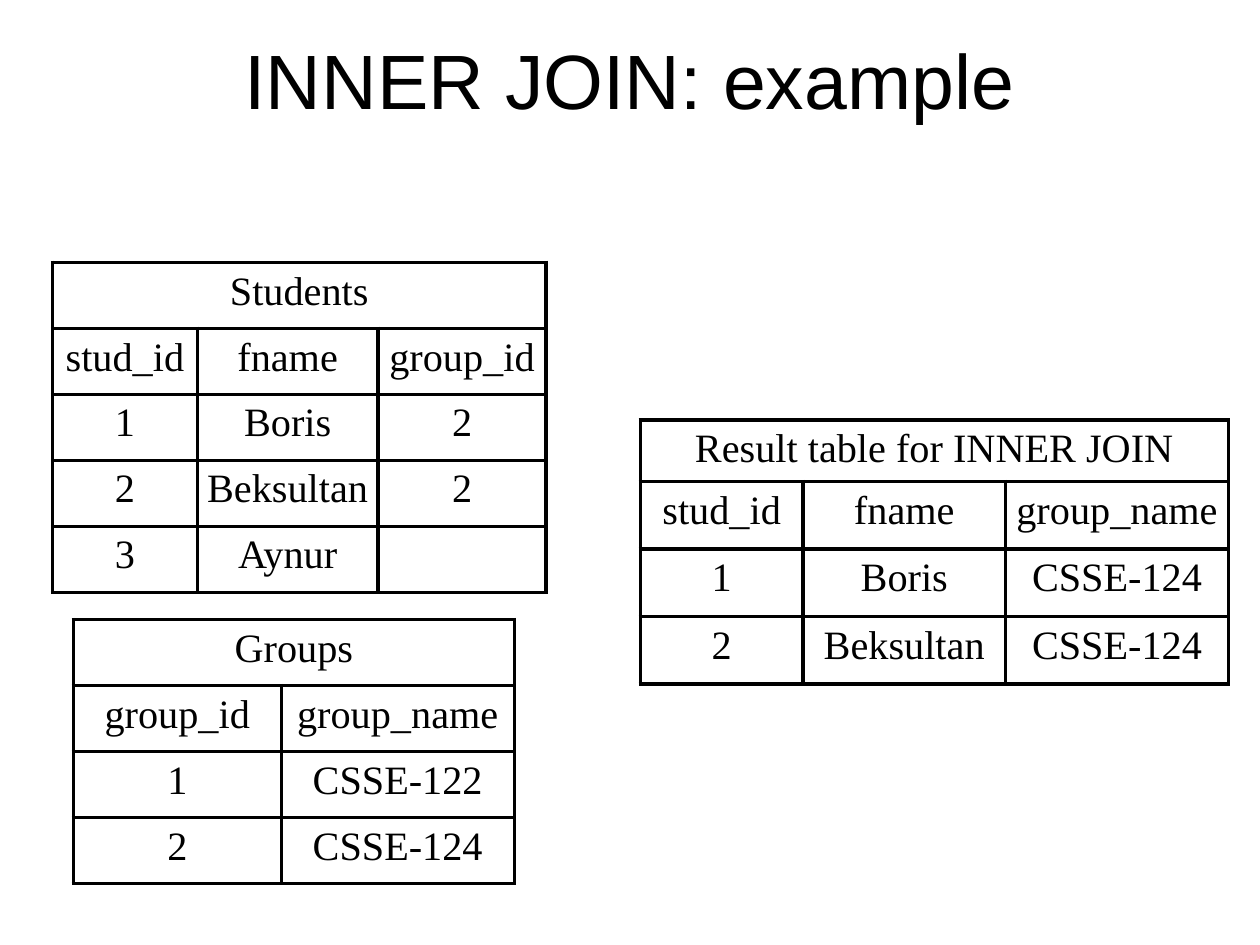
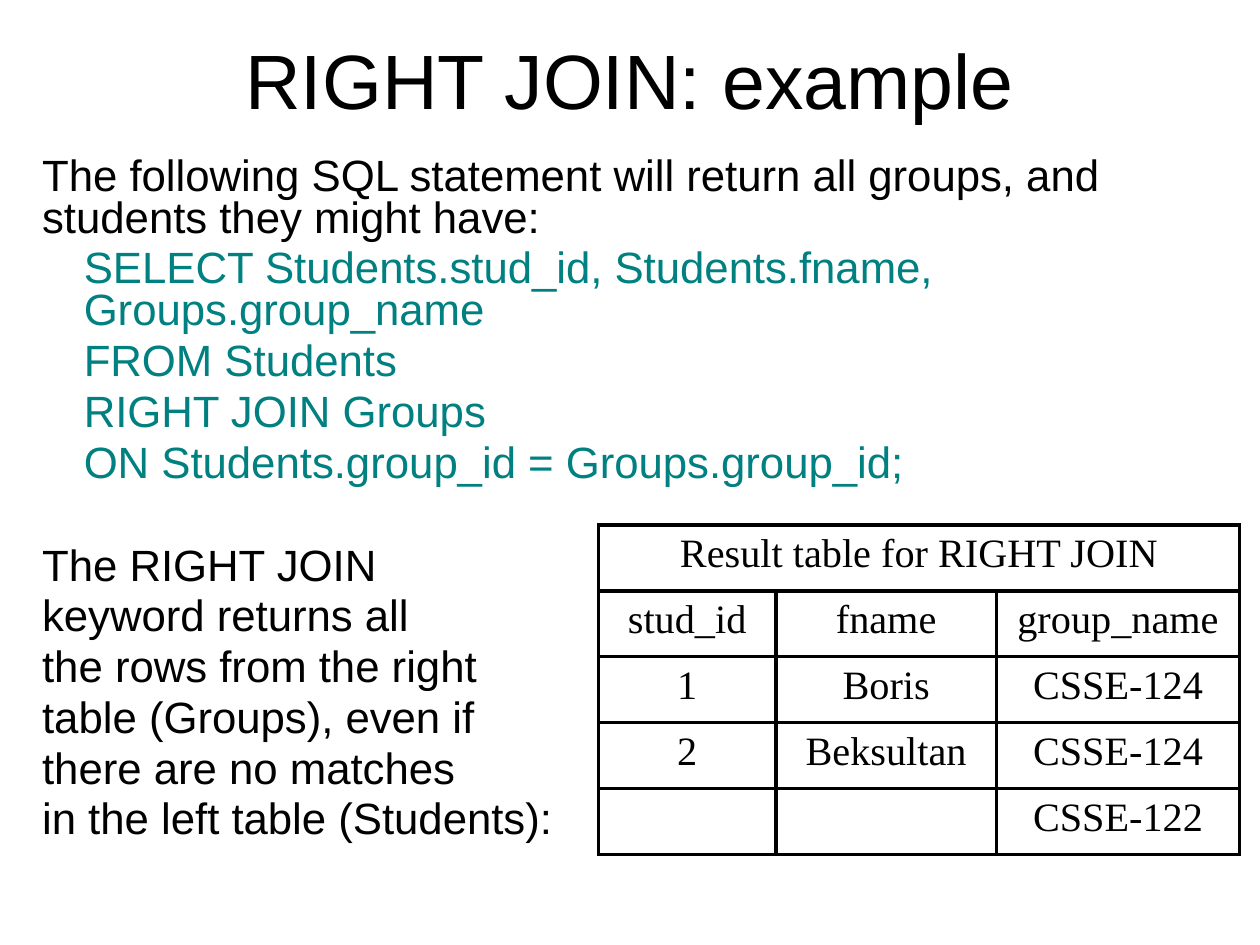
"""Build two slides that show INNER JOIN and RIGHT JOIN by example."""
from dataclasses import dataclass

from lxml.etree import SubElement
from pptx import Presentation
from pptx.dml.color import RGBColor
from pptx.enum.text import MSO_ANCHOR as Anchor, PP_ALIGN as Align
from pptx.oxml.ns import qn
from pptx.util import Cm, Pt


@dataclass(frozen=True)
class Theme:
    ink: str = "000000"
    code: str = "008080"
    sans: str = "Arial"
    serif: str = "Times New Roman"
    title_size: float = 44
    body_size: float = 25
    table_size: float = 23
    border: float = 2.25
    body_leading: float = 0.8
    table_leading: float = 1.15
    body_gap: float = 5
    section_gap: float = 35
    code_indent: float = 0.84


THEME = Theme()
ROW = 1.33
TITLE_BOX = (1.27, 0, 22.86, 3.18)
BODY_BOX = (0.85, 3.18, 24.13, 12.57)

RESULT_HEAD = ("stud_id", "fname", "group_name")
MATCHES = [("1", "Boris", "CSSE-124"), ("2", "Beksultan", "CSSE-124")]

SLIDES = [
    {
        "title": "INNER JOIN: example",
        "tables": [
            {
                "caption": "Students",
                "place": (1.06, 5.29),
                "columns": (2.92, 3.64, 3.39),
                "heights": [ROW] * 5,
                "rows": [
                    ("stud_id", "fname", "group_id"),
                    ("1", "Boris", "2"),
                    ("2", "Beksultan", "2"),
                    ("3", "Aynur", ""),
                ],
            },
            {
                "caption": "Groups",
                "place": (1.48, 12.49),
                "columns": (4.19, 4.7),
                "heights": [ROW] * 4,
                "rows": [
                    ("group_id", "group_name"),
                    ("1", "CSSE-122"),
                    ("2", "CSSE-124"),
                ],
            },
            {
                "caption": "Result table for INNER JOIN",
                "place": (12.91, 8.47),
                "columns": (3.28, 4.08, 4.5),
                "heights": [1.24] + [1.36] * 3,
                "rows": [RESULT_HEAD, *MATCHES],
            },
        ],
    },
    {
        "title": "RIGHT JOIN: example",
        "intro": [
            "The following SQL statement will return all groups, and students they might have:",
        ],
        "query": [
            "SELECT Students.stud_id, Students.fname, Groups.group_name",
            "FROM Students",
            "RIGHT JOIN Groups",
            "ON Students.group_id = Groups.group_id;",
        ],
        "explanation": [
            "The RIGHT JOIN",
            "keyword returns all",
            "the rows from the right",
            "table (Groups), even if",
            "there are no matches",
            "in the left table (Students):",
        ],
        "tables": [
            {
                "caption": "Result table for RIGHT JOIN",
                "place": (12.07, 10.58),
                "columns": (3.57, 4.45, 4.9),
                "heights": [ROW] * 5,
                "rows": [RESULT_HEAD, *MATCHES, ("", "", "CSSE-122")],
            },
        ],
    },
]


def style(paragraph, face, size, color=THEME.ink):
    font = paragraph.font
    font.name, font.size = face, Pt(size)
    font.color.rgb = RGBColor.from_string(color)


def clear_margins(holder):
    holder.margin_left = holder.margin_right = 0
    holder.margin_top = holder.margin_bottom = 0


def add_frame(slide, box):
    frame = slide.shapes.add_textbox(*map(Cm, box)).text_frame
    frame.word_wrap = True
    clear_margins(frame)
    return frame


def add_title(slide, title):
    frame = add_frame(slide, TITLE_BOX)
    frame.vertical_anchor = Anchor.MIDDLE
    heading = frame.paragraphs[0]
    heading.text, heading.alignment = title, Align.CENTER
    style(heading, THEME.sans, THEME.title_size)


def add_body(slide, intro, query, explanation):
    frame = add_frame(slide, BODY_BOX)
    lines = intro + query + explanation
    for number, line in enumerate(lines):
        paragraph = frame.add_paragraph() if number else frame.paragraphs[0]
        paragraph.text = line
        paragraph.line_spacing = THEME.body_leading
        opens_section = line == explanation[0]
        paragraph.space_before = Pt(THEME.section_gap if opens_section else THEME.body_gap)
        is_code = line in query
        style(paragraph, THEME.sans, THEME.body_size, THEME.code if is_code else THEME.ink)
        if is_code:
            paragraph._p.get_or_add_pPr().set("marL", str(Cm(THEME.code_indent)))


def add_borders(cell):
    properties = cell._tc.get_or_add_tcPr()
    for side in ("a:lnL", "a:lnR", "a:lnT", "a:lnB"):
        line = SubElement(properties, qn(side), w=str(Pt(THEME.border)))
        fill = SubElement(line, qn("a:solidFill"))
        SubElement(fill, qn("a:srgbClr"), val=THEME.ink)


def fill_cell(cell, text):
    clear_margins(cell)
    add_borders(cell)
    cell.fill.background()
    paragraph = cell.text_frame.paragraphs[0]
    paragraph.text, paragraph.alignment = text, Align.CENTER
    paragraph.line_spacing = THEME.table_leading
    style(paragraph, THEME.serif, THEME.table_size)


def add_grid(slide, caption, place, columns, heights, rows):
    size = (sum(columns), sum(heights))
    grid = slide.shapes.add_table(
        len(heights), len(columns), *map(Cm, place + size)
    ).table
    grid.first_row = grid.horz_banding = False
    for column, width in zip(grid.columns, columns):
        column.width = Cm(width)
    for row, height in zip(grid.rows, heights):
        row.height = Cm(height)
    caption_row = (caption,) + ("",) * (len(columns) - 1)
    for row, texts in zip(grid.rows, [caption_row, *rows]):
        for cell, text in zip(row.cells, texts):
            fill_cell(cell, text)
    grid.cell(0, 0).merge(grid.cell(0, len(columns) - 1))


deck = Presentation()
deck.slide_width, deck.slide_height = Cm(25.4), Cm(19.05)
for content in SLIDES:
    slide = deck.slides.add_slide(deck.slide_layouts[6])
    add_title(slide, content["title"])
    if "query" in content:
        add_body(slide, content["intro"], content["query"], content["explanation"])
    for table in content["tables"]:
        add_grid(slide, **table)
deck.save("out.pptx")
